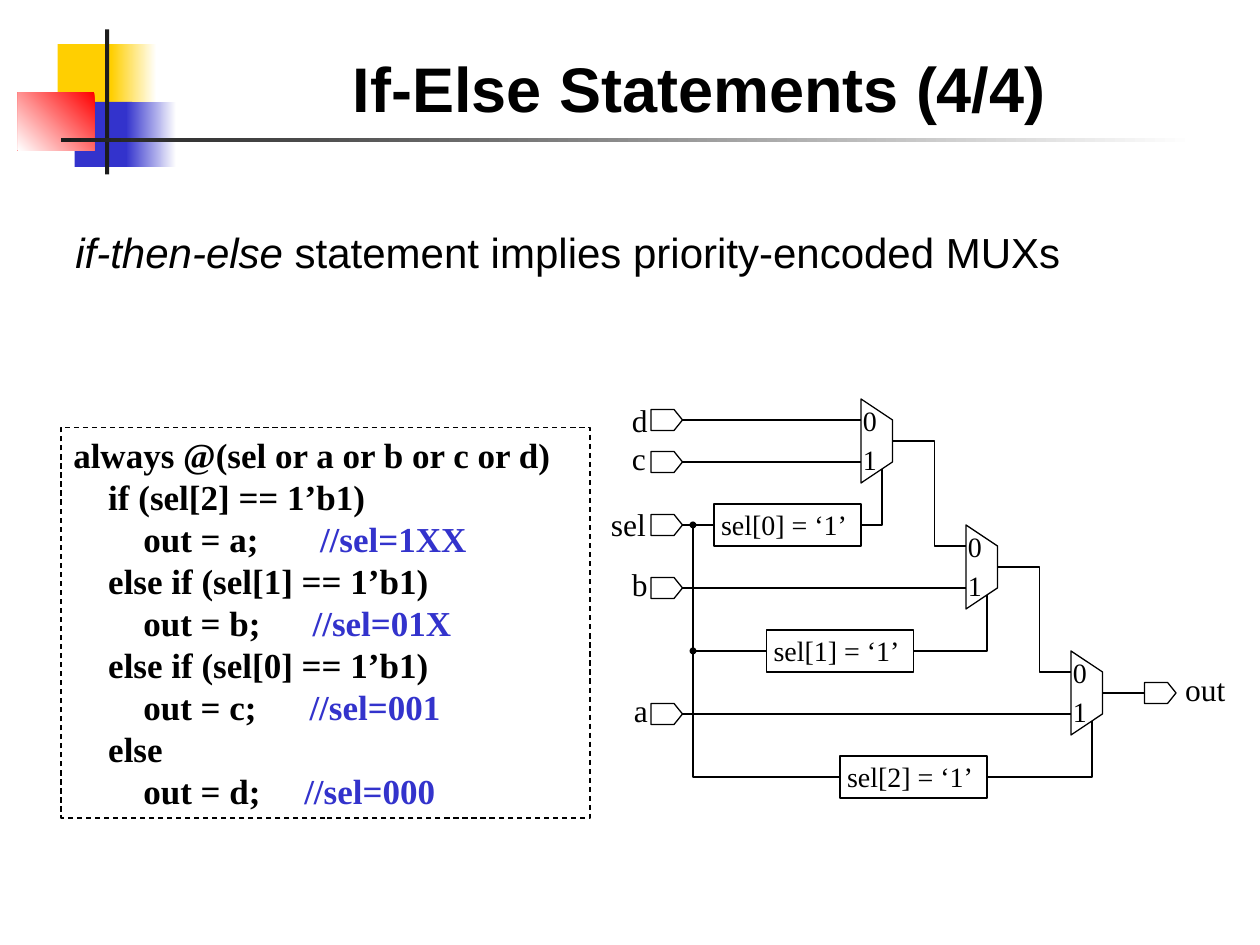
"""Build the slide on if-else statements and their priority-encoded multiplexers."""
import pptx
import pptx.dml.color
import pptx.enum.dml
import pptx.enum.shapes
import pptx.enum.text
import pptx.oxml
import pptx.oxml.ns
import pptx.util

COLUMNS, ROWS = 120, 90
CELL = pptx.util.Inches(10) // COLUMNS
RGB = pptx.dml.color.RGBColor.from_string
RECTANGLE = pptx.enum.shapes.MSO_SHAPE.RECTANGLE
THEME = {
    "ink": RGB("000000"), "comment": RGB("3333CC"), "bar": RGB("1C1C1C"),
    "yellow": RGB("FFCF01"), "blue": RGB("3333CC"), "red": RGB("FF0000"), "white": RGB("FFFFFF"),
    "sans": "Arial", "serif": "Times New Roman", "line": pptx.util.Pt(0.75),
    "title": 36, "body": 24, "code": 20, "pin": 18, "gate": 16,
}

presentation = pptx.Presentation()
presentation.slide_width = COLUMNS * CELL
presentation.slide_height = ROWS * CELL
slide = presentation.slides.add_slide(presentation.slide_layouts[5])
shapes = slide.shapes


def grid(*counts):
    return [pptx.util.Emu(round(count * CELL)) for count in counts]


def trace(*points, closed=False, dotted=False):
    corners = [grid(*point) for point in points]
    if len(corners) == 2:
        shape = shapes.add_connector(pptx.enum.shapes.MSO_CONNECTOR.STRAIGHT, *corners[0], *corners[1])
    else:
        builder = shapes.build_freeform(*corners[0])
        builder.add_line_segments(corners[1:], close=closed)
        shape = builder.convert_to_shape()
        shape.fill.background()
    shape.line.color.rgb = THEME["ink"]
    shape.line.width = THEME["line"]
    properties = shape._element.spPr
    if dotted:
        head = pptx.oxml.parse_xml(f'<a:headEnd {pptx.oxml.ns.nsdecls("a")} type="oval" w="sm" len="sm"/>')
        shape.line._get_or_add_ln().append(head)
    properties.append(pptx.oxml.parse_xml(f'<a:effectLst {pptx.oxml.ns.nsdecls("a")}/>'))


ornaments = [
    (5.5, 4.2, 5.8, 6.2, ["yellow"], 0),
    (10.6, 4.2, 4.3, 6.2, ["white", "yellow"], 180),
    (7.1, 9.7, 5.5, 6.2, ["blue"], 0),
    (12, 9.7, 4.8, 6.2, ["white", "blue"], 180),
    (1.7, 8.8, 7.3, 5.5, ["red", "white"], 225),
    (10, 2.8, 0.4, 13.8, ["bar"], 0),
    (5.8, 13.1, 108, 0.4, ["white", "bar"], 180),
]
for *place, colours, angle in ornaments:
    shape = shapes.add_shape(RECTANGLE, *grid(*place))
    shape.shadow.inherit = False
    shape.line.fill.background()
    if len(colours) == 1:
        shape.fill.solid()
        shape.fill.fore_color.rgb = THEME[colours[0]]
    else:
        shape.fill.gradient()
        shape.fill.gradient_angle = angle
        for stop, colour, position in zip(shape.fill.gradient_stops, colours, (0, 1)):
            stop.color.rgb = THEME[colour]
            stop.position = position

lettering = []

title = shapes.title
title.left, title.top, title.width, title.height = grid(32.4, 4.1, 68.9, 15.6)
title.text_frame.text = "If-Else Statements (4/4)"
lettering.append((title.text_frame, "sans", "title", True))

statement = shapes.add_textbox(*grid(6, 21, 108, 13)).text_frame
statement.word_wrap = True
statement.text = "if-then-else"
statement.paragraphs[0].runs[0].font.italic = True
statement.paragraphs[0].add_run().text = " statement implies priority-encoded MUXs"
lettering.append((statement, "sans", "body", False))

code_lines = [
    ("always @(sel or a or b or c or d)", "", 0),
    ("\tif (sel[2] == 1’b1)", "", 0),
    ("\t\tout = a;\t", "//sel=1XX", 23.5),
    ("\telse if (sel[1] == 1’b1)", "", 0),
    ("\t\tout = b;\t", "//sel=01X", 22.8),
    ("\telse if (sel[0] == 1’b1)", "", 0),
    ("\t\tout = c;\t", "//sel=001", 22.5),
    ("\telse", "", 0),
    ("\t\tout = d;\t", "//sel=000", 22),
]
code_box = shapes.add_shape(RECTANGLE, *grid(5.8, 40.7, 50.4, 37.2))
code_box.shadow.inherit = False
code_box.fill.background()
code_box.line.color.rgb = THEME["ink"]
code_box.line.width = THEME["line"]
code_box.line.dash_style = pptx.enum.dml.MSO_LINE.DASH
code = code_box.text_frame
code.word_wrap = True
code.text = "\n".join(line[0] for line in code_lines)
for paragraph, (statement_text, comment, comment_stop) in zip(code.paragraphs, code_lines):
    if comment:
        paragraph.add_run().text = comment
    stops = grid(3.33, 6.67, comment_stop) if comment else grid(3.33, 6.67)
    tabs = "".join(f'<a:tab pos="{int(stop)}" algn="l"/>' for stop in stops)
    tab_list = pptx.oxml.parse_xml(f'<a:tabLst {pptx.oxml.ns.nsdecls("a")}>{tabs}</a:tabLst>')
    paragraph._p.get_or_add_pPr().append(tab_list)
lettering.append((code, "serif", "code", True))

labels = [
    ("d", 59, 37.6, 3.8, 4.8, "pin"),
    ("c", 59, 41.2, 3.8, 4.8, "pin"),
    ("sel", 57, 47.5, 5.8, 4.8, "pin"),
    ("b", 59, 53.2, 3.8, 4.8, "pin"),
    ("a", 59.2, 65.2, 3.8, 4.8, "pin"),
    ("out", 111.7, 63.2, 6.2, 4.8, "pin"),
]

for pin_left, pin_row in [(62, 40), (62, 44), (62, 50), (62, 56), (62, 68), (109, 66)]:
    trace((pin_left, pin_row - 1), (pin_left + 2.2, pin_row - 1), (pin_left + 3, pin_row),
          (pin_left + 2.2, pin_row + 1), (pin_left, pin_row + 1), closed=True)

for wire_start, wire_end, wire_row in [(65, 82, 40), (65, 82, 44), (65, 68, 50),
                                       (65, 92, 56), (65, 102, 68), (105, 109, 66)]:
    trace((wire_start, wire_row), (wire_end, wire_row))

trunk = 66
for stage, test_left in enumerate([68, 73, 80]):
    left, top, test_row = 82 + 10 * stage, 38 + 12 * stage, 50 + 12 * stage
    trace((left, top), (left + 3, top + 2), (left + 3, top + 6), (left, top + 8), closed=True)
    labels += [("0", left - 1, top - 0.2, 3.7, 4.4, "gate"), ("1", left - 1, top + 3.6, 3.7, 4.4, "gate")]
    if stage < 2:
        trace((left + 3, top + 4), (left + 7, top + 4), (left + 7, top + 14), (left + 10, top + 14))
    if stage > 0:
        trace((trunk, test_row - 12), (trunk, test_row), (test_left, test_row), dotted=True)
    trace((test_left + 14, test_row), (left + 2, test_row), (left + 2, top + 6.67))
    test = shapes.add_shape(RECTANGLE, *grid(test_left, test_row - 2, 14, 4))
    test.shadow.inherit = False
    test.fill.background()
    test.line.color.rgb = THEME["ink"]
    test.line.width = THEME["line"]
    labels.append((f"sel[{stage}] = ‘1’", test_left - 0.5, test_row - 2.3, 14.4, 4.4, "gate"))

for text, *place, size in labels:
    label = shapes.add_textbox(*grid(*place)).text_frame
    label.word_wrap = False
    label.text = text
    lettering.append((label, "serif", size, False))

for text_frame, font, size, bold in lettering:
    text_frame.vertical_anchor = pptx.enum.text.MSO_ANCHOR.TOP
    for paragraph in text_frame.paragraphs:
        paragraph.alignment = pptx.enum.text.PP_ALIGN.LEFT
        for run in paragraph.runs:
            run.font.name = THEME[font]
            run.font.size = pptx.util.Pt(THEME[size])
            run.font.bold = bold
            run.font.color.rgb = THEME["comment" if run.text.startswith("//") else "ink"]

presentation.save("out.pptx")
